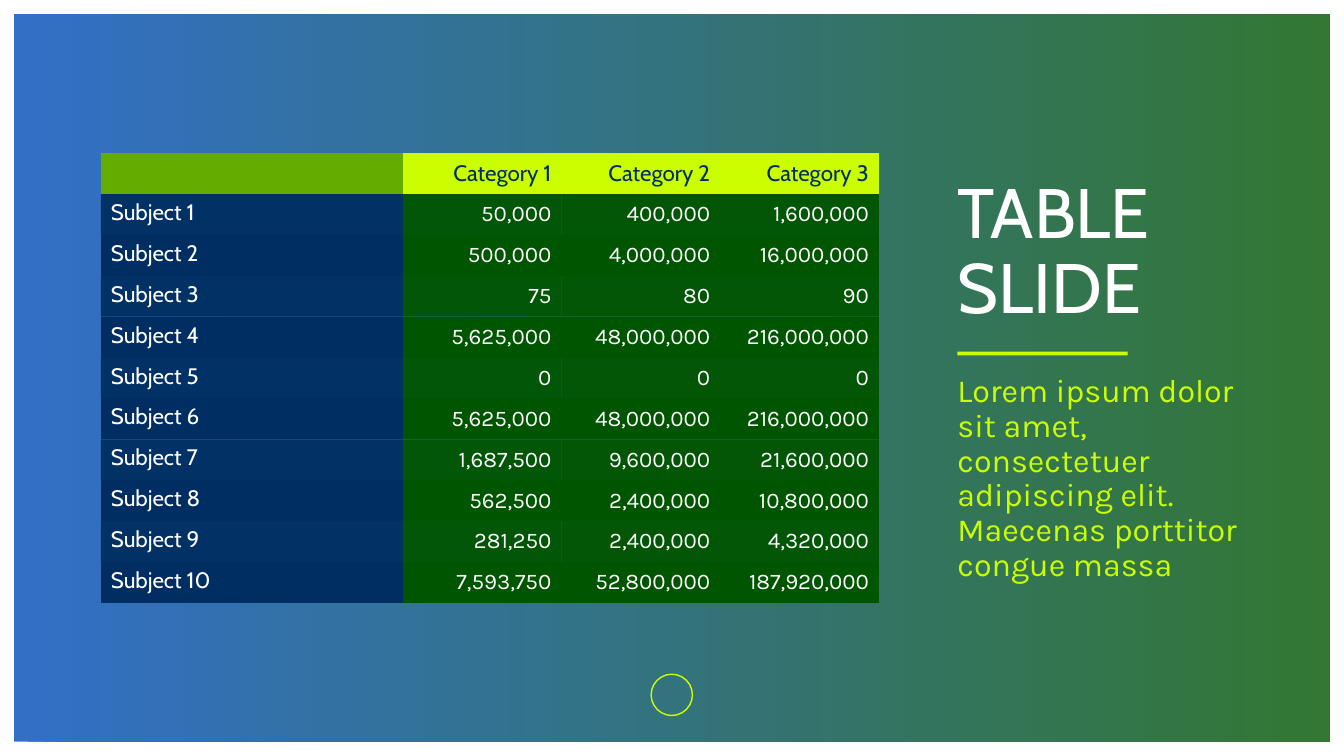
from lxml.etree import SubElement
from pptx import Presentation
from pptx.dml.color import RGBColor
from pptx.enum.shapes import MSO_SHAPE
from pptx.enum.text import MSO_ANCHOR, PP_ALIGN
from pptx.oxml.ns import qn
from pptx.util import Cm, Pt

NO_STYLE = "{2D5ABB26-0587-4C30-8999-92F81FD0307C}"
CATEGORIES = ["Category 1", "Category 2", "Category 3"]
VALUES = [
    (50000, 400000, 1600000),
    (500000, 4000000, 16000000),
    (75, 80, 90),
    (5625000, 48000000, 216000000),
    (0, 0, 0),
    (5625000, 48000000, 216000000),
    (1687500, 9600000, 21600000),
    (562500, 2400000, 10800000),
    (281250, 2400000, 4320000),
    (7593750, 52800000, 187920000),
]


def color(hex_code):
    return RGBColor.from_string(hex_code)


def set_opacity(element, percent):
    for tone in element.iter(qn("a:srgbClr")):
        SubElement(tone, qn("a:alpha"), val=str(percent * 1000))


class SlideBuilder:
    """Hold the slide and its style, and draw each kind of element."""

    heading_font, body_font = "Cabin", "Karla"
    lime, olive, navy, green, white = "CBFF00", "64AC00", "002E62", "005500", "FFFFFF"

    def __init__(self, slide):
        self.slide = slide

    def style_runs(self, paragraph, font_name, size, hex_code):
        for run in paragraph.runs:
            run.font.name = font_name
            run.font.size = Pt(size)
            run.font.color.rgb = color(hex_code)

    def shape(self, kind, left, top, width, height):
        outline = self.slide.shapes.add_shape(
            kind, Cm(left), Cm(top), Cm(width), Cm(height))
        outline.shadow.inherit = False
        return outline

    def backdrop(self, left, top, width, height, tones, opacity):
        panel = self.shape(MSO_SHAPE.RECTANGLE, left, top, width, height)
        panel.line.fill.background()
        panel.fill.gradient()
        panel.fill.gradient_angle = 0
        for stop, tone in zip(panel.fill.gradient_stops, tones):
            stop.color.rgb = color(tone)
        set_opacity(panel._element.spPr, opacity)

    def ring(self, left, top, diameter):
        circle = self.shape(MSO_SHAPE.OVAL, left, top, diameter, diameter)
        circle.fill.background()
        circle.line.color.rgb = color(self.lime)
        circle.line.width = Pt(1)

    def rule(self, left, top, width, height):
        bar = self.shape(MSO_SHAPE.RECTANGLE, left, top, width, height)
        bar.fill.solid()
        bar.fill.fore_color.rgb = color(self.lime)
        bar.line.fill.background()

    def text(self, words, left, top, width, height, font_name, size, hex_code, anchor):
        frame = self.slide.shapes.add_textbox(
            Cm(left), Cm(top), Cm(width), Cm(height)).text_frame
        frame.word_wrap = True
        frame.vertical_anchor = anchor
        frame.margin_left = frame.margin_right = 0
        frame.text = words
        frame.paragraphs[0].line_spacing = 0.9
        self.style_runs(frame.paragraphs[0], font_name, size, hex_code)

    def cell(self, cell, words, fill, font_name, ink, opacity=100, numeric=True):
        cell.fill.solid()
        cell.fill.fore_color.rgb = color(fill)
        if opacity < 100:
            set_opacity(cell._tc, opacity)
        cell.text = words
        paragraph = cell.text_frame.paragraphs[0]
        if numeric:
            cell.vertical_anchor = MSO_ANCHOR.MIDDLE
            paragraph.alignment = PP_ALIGN.RIGHT
        self.style_runs(paragraph, font_name, 16, ink)

    def table(self, left, top, subject_width, category_width, row_height):
        widths = [subject_width] + [category_width] * len(CATEGORIES)
        row_count = len(VALUES) + 1
        frame = self.slide.shapes.add_table(
            row_count, len(widths), Cm(left), Cm(top),
            Cm(sum(widths)), Cm(row_height * row_count))
        grid = frame.table
        grid.first_row = grid.horz_banding = False
        for style_id in frame._element.iter(qn("a:tableStyleId")):
            style_id.text = NO_STYLE
        for column, width in zip(grid.columns, widths):
            column.width = Cm(width)
        for row in grid.rows:
            row.height = Cm(row_height)
        self.cell(grid.cell(0, 0), "", self.olive, self.heading_font, self.navy)
        for column, category in enumerate(CATEGORIES, 1):
            self.cell(grid.cell(0, column), category, self.lime,
                      self.heading_font, self.navy)
        for row, values in enumerate(VALUES, 1):
            opacity = 95 if row % 2 else 100
            self.cell(grid.cell(row, 0), f"Subject {row}", self.navy,
                      self.heading_font, self.white, opacity, numeric=False)
            for column, value in enumerate(values, 1):
                self.cell(grid.cell(row, column), f"{value:,}", self.green,
                          self.body_font, self.white, opacity)


def main():
    deck = Presentation()
    deck.slide_width, deck.slide_height = Cm(33.87), Cm(19.05)
    builder = SlideBuilder(deck.slides.add_slide(deck.slide_layouts[6]))
    builder.backdrop(0.36, 0.36, 33.15, 18.33, ("004CB9", "005500"), 80)
    builder.ring(16.41, 16.99, 1.04)
    builder.rule(24.13, 8.86, 4.29, 0.1)
    builder.table(2.54, 3.86, 7.61, 4, 1.03)
    builder.text("TABLE\vSLIDE", 24.13, 4.19, 7.42, 4.39,
                 builder.heading_font, 50, builder.white, MSO_ANCHOR.MIDDLE)
    builder.text("Lorem ipsum dolor sit amet, consectetuer adipiscing elit. "
                 "Maecenas porttitor congue massa", 24.13, 9.32, 7.92, 6.25,
                 builder.body_font, 23, builder.lime, MSO_ANCHOR.TOP)
    deck.save("out.pptx")


if __name__ == "__main__":
    main()
